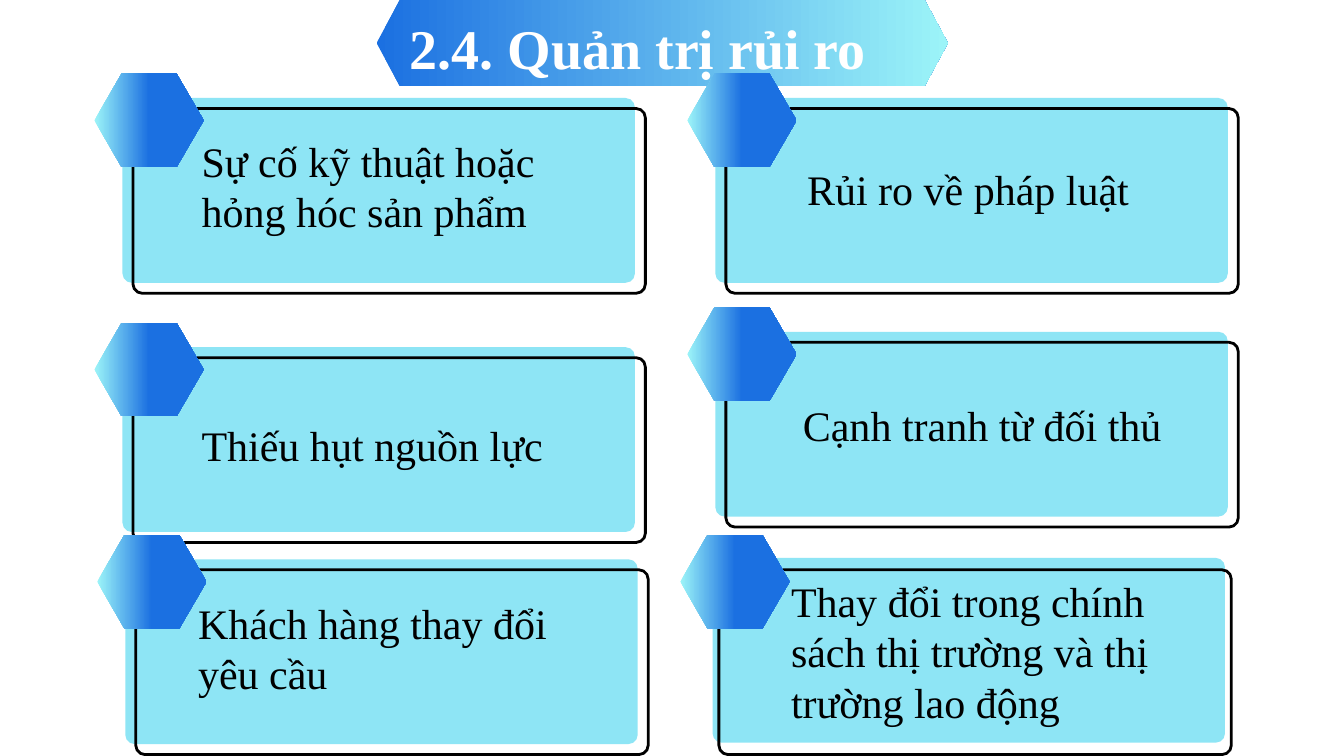
from pptx import Presentation
from pptx.dml.color import RGBColor
from pptx.enum.shapes import MSO_SHAPE
from pptx.enum.text import MSO_AUTO_SIZE, PP_ALIGN
from pptx.util import Pt

PX = 9525
WIDTH, HEIGHT = 1920, 1080
HEXAGON = MSO_SHAPE.HEXAGON
ROUNDED = MSO_SHAPE.ROUNDED_RECTANGLE
LEFT, CENTER = PP_ALIGN.LEFT, PP_ALIGN.CENTER
GROW = MSO_AUTO_SIZE.SHAPE_TO_FIT_TEXT

BLUE = RGBColor(0x1B, 0x70, 0xE1)
AQUA = RGBColor(0x9C, 0xF4, 0xF8)
CARD_BLUE = RGBColor(0x8E, 0xE5, 0xF5)
BLACK = RGBColor(0, 0, 0)
WHITE = RGBColor(255, 255, 255)
FONT = "Times New Roman"

TITLE = "2.4. Quản trị rủi ro"
TITLE_BOX = (380, -5, 1062, 109)
BANNER = (538, 0, 816, 123)

CARD_SIZE = (732, 264)
HEXAGON_SIZE = (156, 134)
HEXAGON_SHIFT = (-55, -50)
PANEL_SHIFT = (-15, -15)
LOW_PANEL_SHIFT = (-9, -17)
TIGHT = 27.4

CARDS = [
    ("Sự cố kỹ thuật hoặc hỏng hóc sản phẩm", (190, 155), PANEL_SHIFT, (288, 193, 542, 145), None),
    ("Thiếu hụt nguồn lực", (190, 511), PANEL_SHIFT, (288, 635, 604, 42), TIGHT),
    ("Rủi ro về pháp luật", (1037, 155), PANEL_SHIFT, (1153, 269, 604, 42), TIGHT),
    ("Cạnh tranh từ đối thủ", (1037, 489), PANEL_SHIFT, (1147, 606, 604, 42), TIGHT),
    ("Khách hàng thay đổi yêu cầu", (194, 814), PANEL_SHIFT, (283, 853, 547, 145), None),
    ("Thay đổi trong chính sách thị trường và thị trường lao động", (1027, 814), LOW_PANEL_SHIFT,
     (1130, 822, 604, 218), None),
]


def emu(lengths):
    return [length * PX for length in lengths]


def shifted(point, shift):
    return point[0] + shift[0], point[1] + shift[1]


def add_shape(page, kind, area, corner, fill=None, stops=None, line=None):
    shape = page.shapes.add_shape(kind, *emu(area))
    shape.shadow.inherit = False
    shape.adjustments[0] = corner
    if stops:
        shape.fill.gradient()
        shape.fill.gradient_angle = 0
        for stop, (position, color) in zip(shape.fill.gradient_stops, stops):
            stop.position = position
            stop.color.rgb = color
    elif fill is not None:
        shape.fill.solid()
        shape.fill.fore_color.rgb = fill
    else:
        shape.fill.background()
    if line is not None:
        shape.line.color.rgb = line
        shape.line.width = Pt(3)
    else:
        shape.line.fill.background()


def add_text(page, text, area, size=45, color=BLACK, bold=False, align=LEFT, spacing=None):
    box = page.shapes.add_textbox(*emu(area))
    frame = box.text_frame
    frame.word_wrap = True
    frame.auto_size = GROW
    frame.margin_left = frame.margin_right = frame.margin_top = frame.margin_bottom = 0
    para = frame.paragraphs[0]
    para.alignment = align
    if spacing:
        para.line_spacing = Pt(spacing)
    span = para.add_run()
    span.text = text
    span.font.name = FONT
    span.font.size = Pt(size)
    span.font.bold = bold
    span.font.color.rgb = color


def add_card(page, text, corner, panel_shift, text_area, spacing):
    panel = shifted(corner, panel_shift)
    badge = shifted(corner, HEXAGON_SHIFT)
    add_shape(page, ROUNDED, panel + CARD_SIZE, 0.05, fill=CARD_BLUE)
    add_shape(page, ROUNDED, corner + CARD_SIZE, 0.05, line=BLACK)
    add_shape(page, HEXAGON, badge + HEXAGON_SIZE, 0.29, stops=[(0, AQUA), (0.5, BLUE)])
    add_text(page, text, text_area, spacing=spacing)


def main():
    deck = Presentation()
    deck.slide_width, deck.slide_height = emu((WIDTH, HEIGHT))
    page = deck.slides.add_slide(deck.slide_layouts[6])
    add_shape(page, HEXAGON, BANNER, 0.27, stops=[(0, BLUE), (1, AQUA)])
    for card in CARDS:
        add_card(page, *card)
    add_text(page, TITLE, TITLE_BOX, size=60, color=WHITE, bold=True, align=CENTER, spacing=89.9)
    deck.save("out.pptx")


if __name__ == "__main__":
    main()
